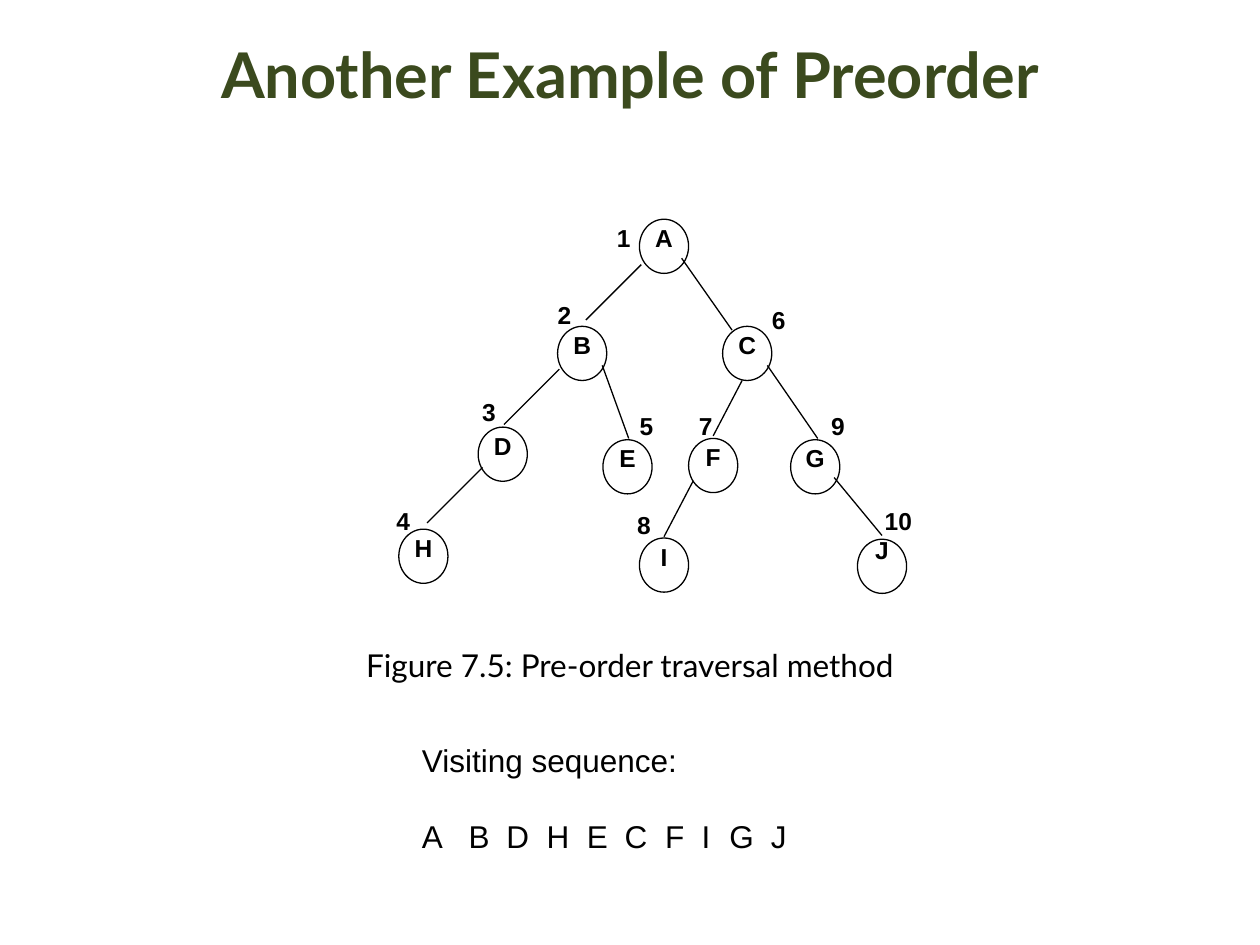
from dataclasses import dataclass

from lxml import etree
from pptx import Presentation
from pptx.dml.color import RGBColor
from pptx.enum import shapes, text
from pptx.oxml.ns import qn
from pptx.util import Inches, Pt


@dataclass(frozen=True)
class Theme:
    title_color: RGBColor = RGBColor(0x3B, 0x4A, 0x1E)
    ink: RGBColor = RGBColor(0, 0, 0)
    paper: RGBColor = RGBColor(255, 255, 255)
    heading_font: str = "Lato"
    figure_font: str = "Arial"
    title_size: int = 36
    text_size: int = 18
    label_size: int = 14
    line_width: float = 0.75


THEME = Theme()
NODE_W, NODE_H = 0.39, 0.43
LABEL_W, NUMBER_W = 0.78, 0.58

# In visiting order: letter, (centre x, top) of the circle, (centre x, top) of its number
NODES = [
    ("A", (2.37, 0.04), (2.05, 0.02)),
    ("B", (1.72, 0.89), (1.58, 0.63)),
    ("D", (1.09, 1.69), (0.98, 1.40)),
    ("H", (0.46, 2.50), (0.30, 2.27)),
    ("E", (2.08, 1.79), (2.23, 1.51)),
    ("C", (3.03, 0.89), (3.28, 0.67)),
    ("F", (2.76, 1.78), (2.70, 1.51)),
    ("I", (2.37, 2.57), (2.21, 2.30)),
    ("G", (3.57, 1.79), (3.75, 1.51)),
    ("J", (4.10, 2.58), (4.23, 2.27)),
]
RAISED_LABELS = {"J": 0.08}
EDGES = [
    ((2.19, 0.40), (1.75, 0.84)),  # A-B
    ((2.51, 0.35), (2.91, 0.92)),  # A-C
    ((1.54, 1.23), (1.10, 1.67)),  # B-D
    ((1.88, 1.20), (2.09, 1.78)),  # B-E
    ((2.99, 1.32), (2.76, 1.76)),  # C-F
    ((3.19, 1.20), (3.59, 1.78)),  # C-G
    ((0.93, 2.01), (0.49, 2.45)),  # D-H
    ((2.60, 2.12), (2.37, 2.56)),  # F-I
    ((3.72, 2.09), (4.10, 2.55)),  # G-J
]
SEQUENCE_STOPS = [0.37, 0.67, 0.99, 1.31, 1.61, 1.93, 2.22, 2.44, 2.77]


def add_run(paragraph, words, size, font, color=THEME.ink, bold=False):
    run = paragraph.add_run()
    run.text = words
    run.font.size, run.font.name, run.font.bold = Pt(size), font, bold
    run.font.color.rgb = color


def place(shape, left, top, width, height):
    shape.left, shape.top = Inches(left), Inches(top)
    shape.width, shape.height = Inches(width), Inches(height)


def add_title(placeholder, box):
    place(placeholder, *box)
    placeholder.text_frame.vertical_anchor = text.MSO_ANCHOR.MIDDLE
    paragraph = placeholder.text_frame.paragraphs[0]
    paragraph.alignment = text.PP_ALIGN.CENTER
    add_run(paragraph, "Another Example of Preorder", THEME.title_size,
            THEME.heading_font, THEME.title_color, True)


def add_caption(placeholder, box):
    place(placeholder, *box)
    placeholder.text_frame.auto_size = text.MSO_AUTO_SIZE.NONE
    paragraph = placeholder.text_frame.paragraphs[0]
    properties = paragraph._p.get_or_add_pPr()
    properties.set("marL", "0")
    properties.set("indent", "0")
    etree.SubElement(properties, qn("a:buNone"))
    paragraph.alignment = text.PP_ALIGN.CENTER
    paragraph.space_before = Pt(0)
    add_run(paragraph, "Figure 7.5: Pre-order traversal method",
            THEME.text_size, THEME.heading_font)


def add_label(group, words, center, top, width, height):
    label = group.shapes.add_textbox(Inches(center - width / 2), Inches(top),
                                     Inches(width), Inches(height))
    label.text_frame.word_wrap = True
    paragraph = label.text_frame.paragraphs[0]
    paragraph.alignment = text.PP_ALIGN.CENTER
    add_run(paragraph, words, THEME.label_size, THEME.figure_font, bold=True)
    return label


def add_node(group, letter, center, top):
    rise = RAISED_LABELS.get(letter, 0.02)
    label = add_label(group, letter, center, top - rise, LABEL_W, NODE_H)
    label.fill.solid()
    label.fill.fore_color.rgb = THEME.paper
    circle = group.shapes.add_shape(
        shapes.MSO_SHAPE.OVAL, Inches(center - NODE_W / 2), Inches(top),
        Inches(NODE_W), Inches(NODE_H))
    circle.shadow.inherit = False
    circle.fill.background()
    circle.line.color.rgb = THEME.ink
    circle.line.width = Pt(THEME.line_width)


def add_edge(group, x1, y1, x2, y2):
    edge = group.shapes.add_connector(
        shapes.MSO_CONNECTOR.STRAIGHT, Inches(x1), Inches(y1), Inches(x2), Inches(y2))
    edge.line.color.rgb = THEME.ink
    edge.line.width = Pt(THEME.line_width)
    etree.SubElement(edge._element.spPr, qn("a:effectLst"))


def add_tree(slide, left, top):
    """Draw circles, then edges, then visiting numbers from the given corner."""
    group = slide.shapes.add_group_shape()
    for letter, (x, y), _ in NODES:
        add_node(group, letter, left + x, top + y)
    for (x1, y1), (x2, y2) in EDGES:
        add_edge(group, left + x1, top + y1, left + x2, top + y2)
    for number, (_, _, (x, y)) in enumerate(NODES, start=1):
        add_label(group, str(number), left + x, top + y, NUMBER_W, 0.44)


def add_visiting_sequence(slide, box):
    frame = slide.shapes.add_textbox(*map(Inches, box)).text_frame
    frame.word_wrap = True
    add_run(frame.paragraphs[0], "Visiting sequence:", THEME.text_size, THEME.figure_font)
    sequence = frame.add_paragraph()
    stops = etree.SubElement(sequence._p.get_or_add_pPr(), qn("a:tabLst"))
    for stop in SEQUENCE_STOPS:
        etree.SubElement(stops, qn("a:tab"), pos=str(Inches(stop)), algn="l")
    sequence.space_before = Pt(22)
    add_run(sequence, "\t".join(letter for letter, _, _ in NODES),
            THEME.text_size, THEME.figure_font)


def main():
    deck = Presentation()
    deck.slide_width, deck.slide_height = Inches(10), Inches(7.5)
    slide = deck.slides.add_slide(deck.slide_layouts[1])
    add_title(slide.shapes.title, (0.5, 0.08, 9, 1))
    add_caption(slide.placeholders[1], (0.5, 5.08, 9, 1.75))
    add_tree(slide, 2.9, 1.7)
    add_visiting_sequence(slide, (3.25, 5.83, 3.92, 1))
    deck.save("out.pptx")


if __name__ == "__main__":
    main()
